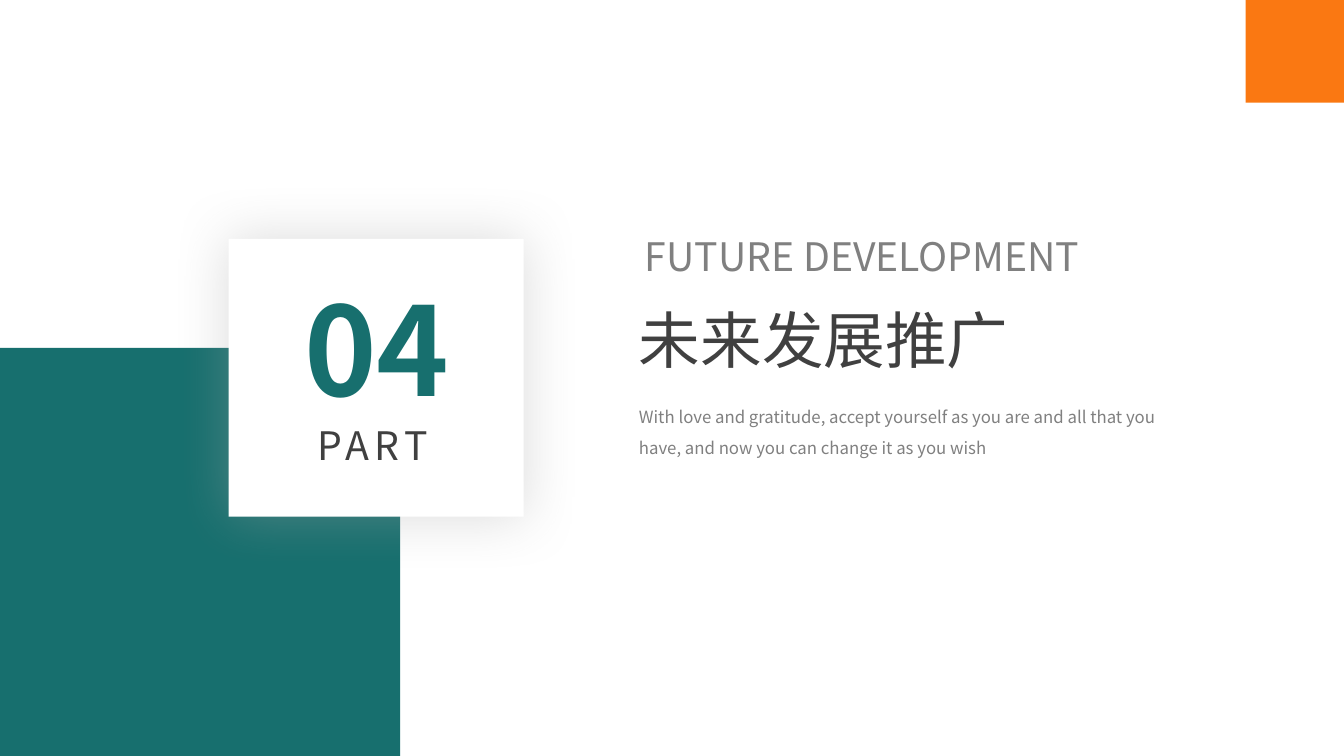
"""Builds the section slide for part 04."""
from lxml.etree import SubElement
from pptx import Presentation
from pptx.dml.color import RGBColor
from pptx.enum.shapes import MSO_SHAPE
from pptx.enum.text import MSO_AUTO_SIZE, PP_ALIGN
from pptx.oxml.ns import qn
from pptx.util import Pt

COLORS = {
    "teal": "176F6E",
    "orange": "FA7812",
    "white": "FFFFFF",
    "dark": "404040",
    "gray": "808080",
    "shade": "A6A6A6",
}


class Deck:
    def __init__(self, width, height):
        self.prs = Presentation()
        self.prs.slide_width = Pt(width)
        self.prs.slide_height = Pt(height)
        self.font = "Noto Sans CJK SC"
        self.slide = self.prs.slides.add_slide(self.prs.slide_layouts[6])

    def color(self, name):
        return RGBColor.from_string(COLORS[name])

    def block(self, box, fill):
        shape = self.slide.shapes.add_shape(MSO_SHAPE.RECTANGLE, *map(Pt, box))
        shape.shadow.inherit = False
        shape.fill.solid()
        shape.fill.fore_color.rgb = self.color(fill)
        shape.line.fill.background()
        return shape

    def card(self, box, fill, blur, alpha):
        shape = self.block(box, fill)
        effects = shape._element.spPr.find(qn("a:effectLst"))
        glow = SubElement(effects, qn("a:outerShdw"), blurRad=str(Pt(blur)),
                          dist="0", dir="0", algn="ctr", rotWithShape="0")
        tint = SubElement(glow, qn("a:srgbClr"), val=COLORS["shade"])
        SubElement(tint, qn("a:alpha"), val=str(alpha * 1000))

    def text(self, box, words, size, color, font=None, bold=False, wrap=True,
             grow=True, align=None, lines=None, gap=0):
        frame = self.slide.shapes.add_textbox(*map(Pt, box)).text_frame
        frame.word_wrap = wrap
        frame.auto_size = MSO_AUTO_SIZE.SHAPE_TO_FIT_TEXT if grow else MSO_AUTO_SIZE.NONE
        para = frame.paragraphs[0]
        para.alignment = align
        para.line_spacing = lines
        run = para.add_run()
        run.text = words
        run.font.size = Pt(size)
        run.font.bold = bold
        run.font.color.rgb = self.color(color)
        run.font.name = font or self.font
        props = run.font._element
        SubElement(props, qn("a:ea"), typeface=font or self.font)
        if gap:
            props.set("spc", str(gap * 100))

    def save(self):
        self.prs.save("out.pptx")


def main():
    deck = Deck(960, 540)
    deck.block((0, 248.4, 285.8, 291.6), "teal")
    deck.card((163.4, 170.6, 210.6, 198.4), "white", blur=40, alpha=40)
    deck.block((889.7, 0, 70.3, 73.4), "orange")

    deck.text((210.2, 191.5, 119.5, 119.5), "04", 88, "teal", bold=True, wrap=False)
    deck.text((219.6, 297.4, 107.3, 41), "PART", 28, "dark",
              align=PP_ALIGN.JUSTIFY, gap=4)
    deck.text((449.3, 212.4, 361.4, 60.5), "未来发展推广", 44, "dark",
              font="Noto Sans CJK JP")
    deck.text((453.6, 162.7, 435.6, 42.5), "FUTURE DEVELOPMENT", 28, "gray",
              grow=False, align=PP_ALIGN.JUSTIFY)
    deck.text((449.3, 280.1, 385.2, 50.4),
              "With love and gratitude, accept yourself as you are and all that "
              "you have, and now you can change it as you wish",
              12, "gray", lines=1.5)
    deck.save()


if __name__ == "__main__":
    main()
